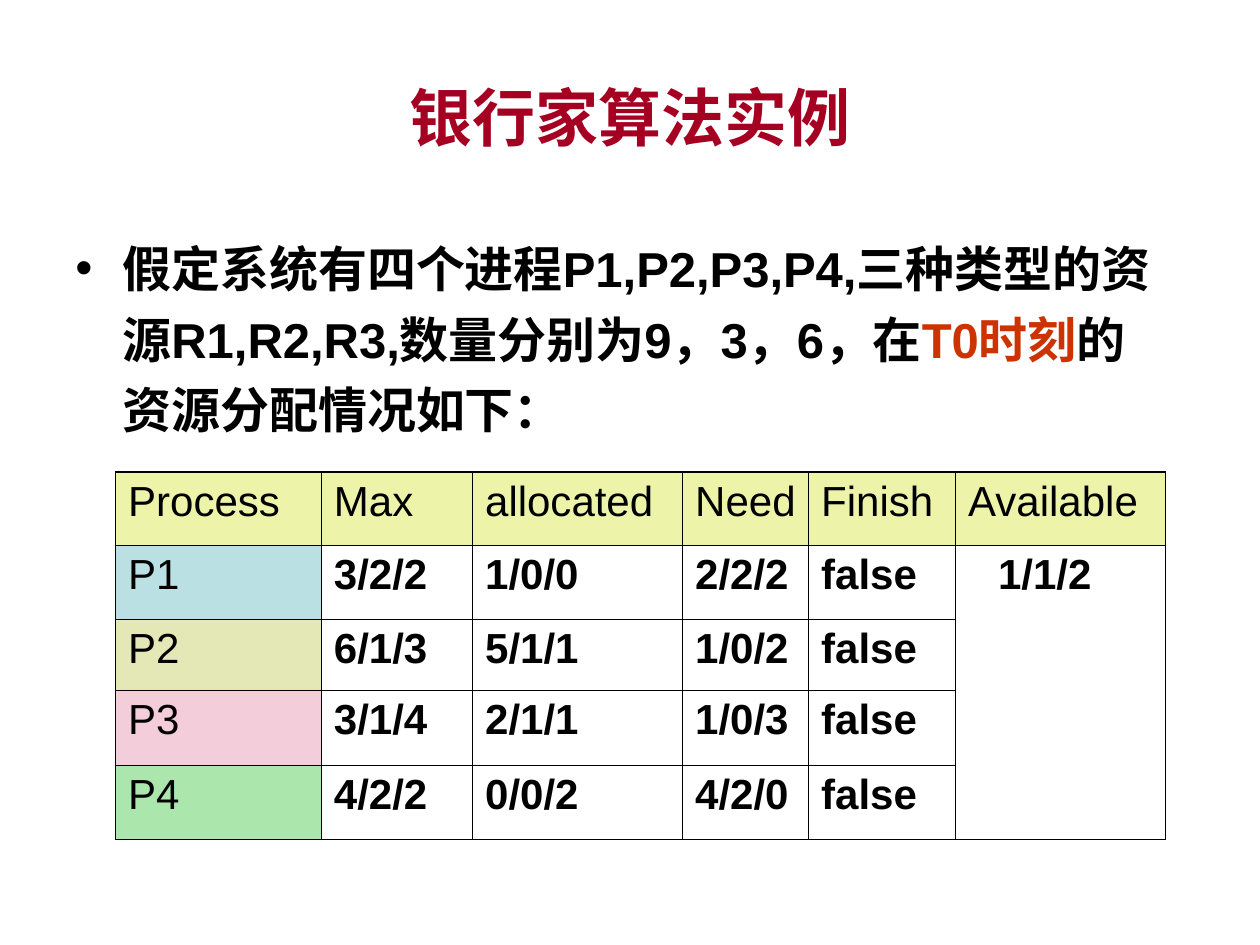
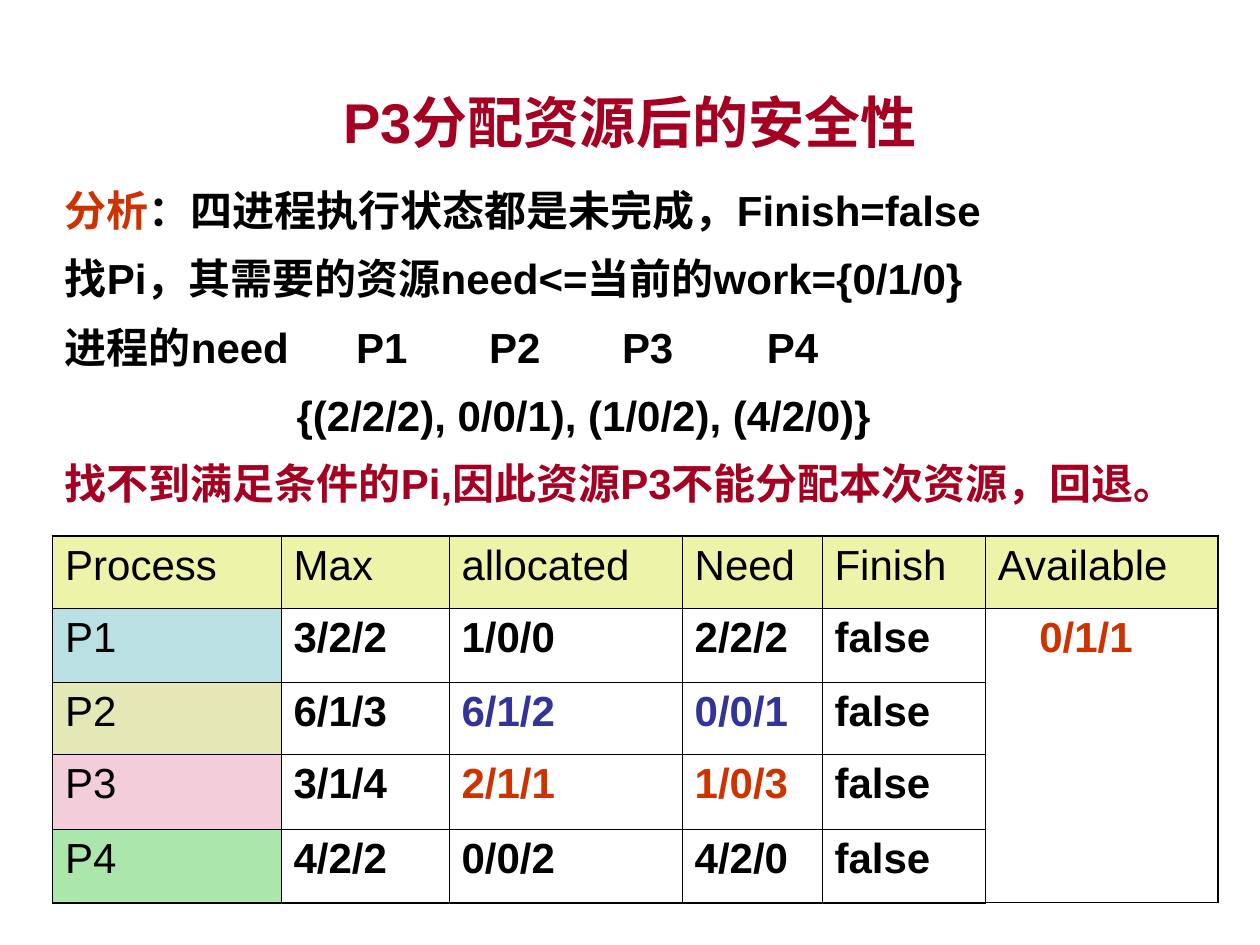
from dataclasses import dataclass
from typing import NamedTuple, Optional

from lxml.etree import SubElement
from pptx import Presentation
from pptx.dml.color import RGBColor
from pptx.enum.lang import MSO_LANGUAGE_ID as Lang
from pptx.enum.text import MSO_ANCHOR as Anchor, PP_ALIGN as Align
from pptx.oxml.ns import qn
from pptx.util import Cm, Pt


# Theme
@dataclass(frozen=True)
class Theme:
    font: str = "Arial"
    ink: str = "000000"
    crimson: str = "A50021"
    orange: str = "CC3300"
    blue: str = "333399"
    header_fill: str = "EDF4AA"
    process_fills: tuple = ("BBE0E3", "E4E8B6", "F3CDD9", "ABE7AC")
    title_size: float = 36
    long_title_size: float = 32
    premise_size: float = 28
    text_size: float = 24
    line_spacing: float = 1.2
    outer_line: float = 1.08
    inner_line: float = 0.45


THEME = Theme()


class Box(NamedTuple):
    left: float
    top: float
    width: float
    height: float

    def lengths(self) -> list:
        return [Cm(value) for value in self]


class Phrase(NamedTuple):
    text: str
    color: str = THEME.ink
    bold: bool = True


class Line(NamedTuple):
    phrases: list
    margin: float = 0
    bulleted: bool = False
    tabs: tuple = ()


@dataclass(frozen=True)
class Allocation:
    """State of the four processes, with cells that changed highlighted."""
    box: Box
    rows: list
    available: Phrase


HEADINGS = ["Process", "Max", "allocated", "Need", "Finish", "Available"]
COLUMN_SHARES = [49, 36, 50, 30, 35, 50]
ROW_HEIGHTS = [1.47, 1.49, 1.44, 1.51, 1.49]
BULLET_INDENT = 0.95
AVAILABLE_RIGHT_MARGIN = 0.89


# Text
def write_phrases(paragraph, phrases: list, size: float) -> None:
    paragraph.text = phrases[0].text
    for phrase in phrases[1:]:
        paragraph.add_run().text = phrase.text
    for run, phrase in zip(paragraph.runs, phrases):
        font = run.font
        font.name, font.size, font.bold = THEME.font, Pt(size), phrase.bold
        font.color.rgb = RGBColor.from_string(phrase.color)
        font.language_id = Lang.SIMPLIFIED_CHINESE


def lay_out(paragraph, line: Line) -> None:
    props = paragraph._p.get_or_add_pPr()
    props.set("marL", str(Cm(line.margin)))
    if line.bulleted:
        props.set("indent", str(-Cm(line.margin)))
        color = SubElement(props, qn("a:buClr"))
        SubElement(color, qn("a:srgbClr"), val=THEME.ink)
        SubElement(props, qn("a:buFont"), typeface=THEME.font)
        SubElement(props, qn("a:buChar"), char="•")
    if line.tabs:
        stops = SubElement(props, qn("a:tabLst"))
        for position in line.tabs:
            SubElement(stops, qn("a:tab"), pos=str(Cm(position)), algn="l")


def add_title(slide, text: str, top: float, size: float) -> None:
    frame = slide.shapes.add_textbox(*Box(1.27, top, 22.86, 3.18).lengths()).text_frame
    frame.word_wrap = True
    frame.vertical_anchor = Anchor.MIDDLE
    title = frame.paragraphs[0]
    title.alignment = Align.CENTER
    write_phrases(title, [Phrase(text, THEME.crimson)], size)


def add_lines(slide, box: Box, lines: list, size: float, gap: float = 0) -> None:
    frame = slide.shapes.add_textbox(*box.lengths()).text_frame
    frame.word_wrap = True
    for index, line in enumerate(lines):
        paragraph = frame.add_paragraph() if index else frame.paragraphs[0]
        lay_out(paragraph, line)
        paragraph.line_spacing = THEME.line_spacing
        if index:
            paragraph.space_before = Pt(gap)
        write_phrases(paragraph, line.phrases, size)


# Allocation table
def style_cell(cell, row: int, column: int) -> None:
    last_row, last_column = len(ROW_HEIGHTS) - 1, len(HEADINGS) - 1
    on_outside = {
        "a:lnL": column == 0,
        "a:lnR": column == last_column,
        "a:lnT": row == 0,
        "a:lnB": row == last_row,
    }
    props = cell._tc.get_or_add_tcPr()
    for side, outside in on_outside.items():
        width = Pt(THEME.outer_line if outside else THEME.inner_line)
        border = SubElement(props, qn(side), w=str(width))
        fill = SubElement(border, qn("a:solidFill"))
        SubElement(fill, qn("a:srgbClr"), val=THEME.ink)

    color: Optional[str] = None
    if row == 0:
        color = THEME.header_fill
    elif column == 0:
        color = THEME.process_fills[row - 1]
    if color:
        cell.fill.solid()
        cell.fill.fore_color.rgb = RGBColor.from_string(color)
    else:
        cell.fill.background()


def add_allocation(slide, state: Allocation) -> None:
    table = slide.shapes.add_table(
        len(ROW_HEIGHTS), len(HEADINGS), *state.box.lengths()
    ).table
    table.first_row = table.horz_banding = False
    for column, share in zip(table.columns, COLUMN_SHARES):
        column.width = Cm(state.box.width * share / sum(COLUMN_SHARES))
    for row, height in zip(table.rows, ROW_HEIGHTS):
        row.height = Cm(height)

    for row in range(len(ROW_HEIGHTS)):
        for column in range(len(HEADINGS)):
            style_cell(table.cell(row, column), row, column)

    heading_row = [Phrase(heading, bold=False) for heading in HEADINGS]
    for row, phrases in enumerate([heading_row, *state.rows]):
        for column, phrase in enumerate(phrases):
            paragraph = table.cell(row, column).text_frame.paragraphs[0]
            write_phrases(paragraph, [phrase], THEME.text_size)

    # One available vector for all processes
    available = table.cell(1, len(HEADINGS) - 1)
    available.merge(table.cell(len(ROW_HEIGHTS) - 1, len(HEADINGS) - 1))
    available.margin_right = Cm(AVAILABLE_RIGHT_MARGIN)
    paragraph = available.text_frame.paragraphs[0]
    paragraph.alignment = Align.CENTER
    write_phrases(paragraph, [state.available], THEME.text_size)


def process_row(name: str, maximum: str, allocated: str, need: str,
                color: str = THEME.ink) -> list:
    return [Phrase(name, bold=False), Phrase(maximum), Phrase(allocated, color),
            Phrase(need, color), Phrase("false")]


# Slides
def add_example(slide) -> None:
    add_title(slide, "银行家算法实例", 0.76, THEME.title_size)
    premise = Line([
        Phrase("假定系统有四个进程P1,P2,P3,P4,三种类型的资源R1,R2,R3,数量分别为9，3，6，在"),
        Phrase("T0时刻", THEME.orange),
        Phrase("的资源分配情况如下："),
    ], margin=BULLET_INDENT, bulleted=True)
    add_lines(slide, Box(1.27, 4.45, 22.66, 4.65), [premise], THEME.premise_size)
    add_allocation(slide, Allocation(Box(2.33, 9.52, 21.17, 7.4), [
        process_row("P1", "3/2/2", "1/0/0", "2/2/2"),
        process_row("P2", "6/1/3", "5/1/1", "1/0/2"),
        process_row("P3", "3/1/4", "2/1/1", "1/0/3"),
        process_row("P4", "4/2/2", "0/0/2", "4/2/0"),
    ], Phrase("1/1/2")))


def add_safety_check(slide) -> None:
    add_title(slide, "P3分配资源后的安全性", 0.85, THEME.long_title_size)
    analysis = [
        Line([Phrase("分析", THEME.orange), Phrase("：四进程执行状态都是未完成，Finish=false")]),
        Line([Phrase("找Pi，其需要的资源need<=当前的work={0/1/0}")]),
        Line([Phrase("进程的need\tP1\tP2\tP3\tP4")], tabs=(5.87, 8.55, 11.23, 14.15)),
        Line([Phrase("{(2/2/2), 0/0/1), (1/0/2), (4/2/0)}")], margin=4.67),
        Line([Phrase("找不到满足条件的Pi,因此资源P3不能分配本次资源，回退。", THEME.crimson)]),
    ]
    add_lines(slide, Box(1.06, 3.39, 24.13, 12.57), analysis, THEME.text_size, gap=4.5)
    add_allocation(slide, Allocation(Box(1.06, 10.8, 23.5, 7.4), [
        process_row("P1", "3/2/2", "1/0/0", "2/2/2"),
        process_row("P2", "6/1/3", "6/1/2", "0/0/1", THEME.blue),
        process_row("P3", "3/1/4", "2/1/1", "1/0/3", THEME.orange),
        process_row("P4", "4/2/2", "0/0/2", "4/2/0"),
    ], Phrase("0/1/1", THEME.orange)))


def main() -> None:
    deck = Presentation()
    deck.slide_width, deck.slide_height = Cm(25.4), Cm(19.05)
    blank = deck.slide_layouts[6]
    for build in (add_example, add_safety_check):
        build(deck.slides.add_slide(blank))
    deck.save("out.pptx")


if __name__ == "__main__":
    main()
